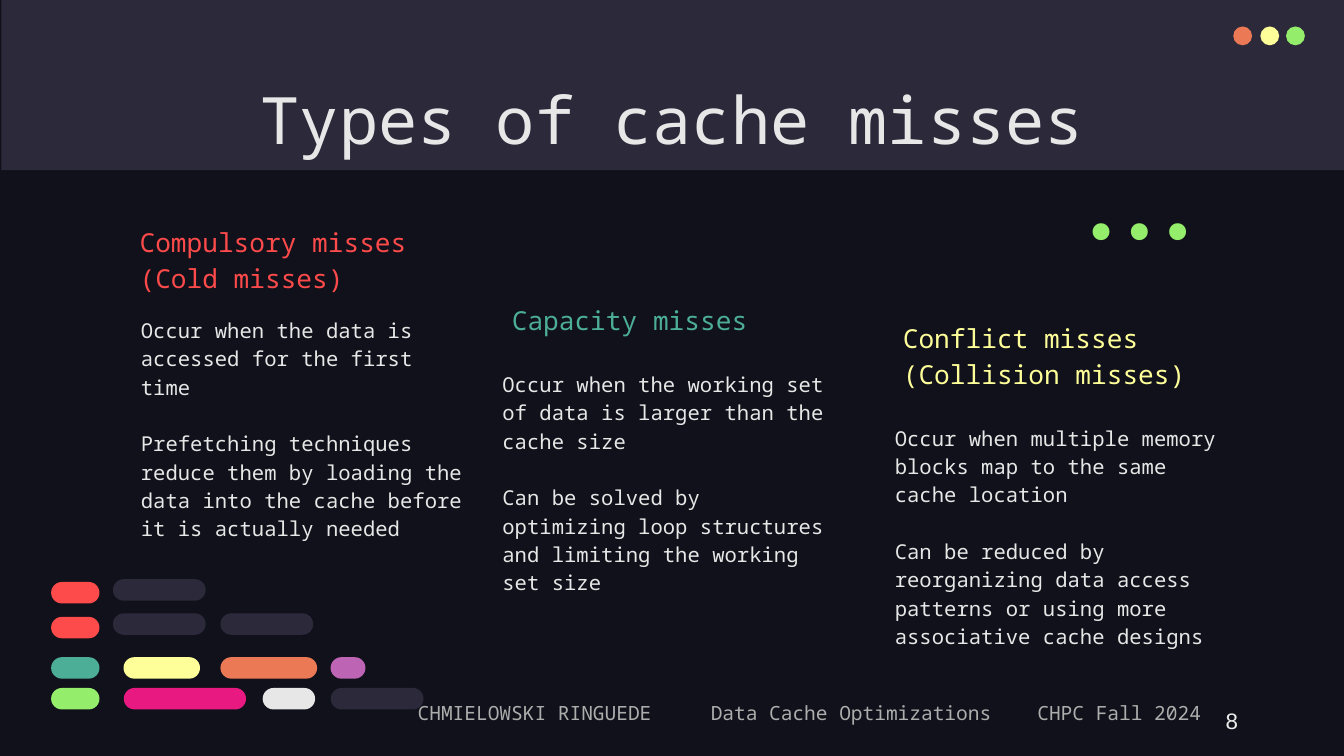
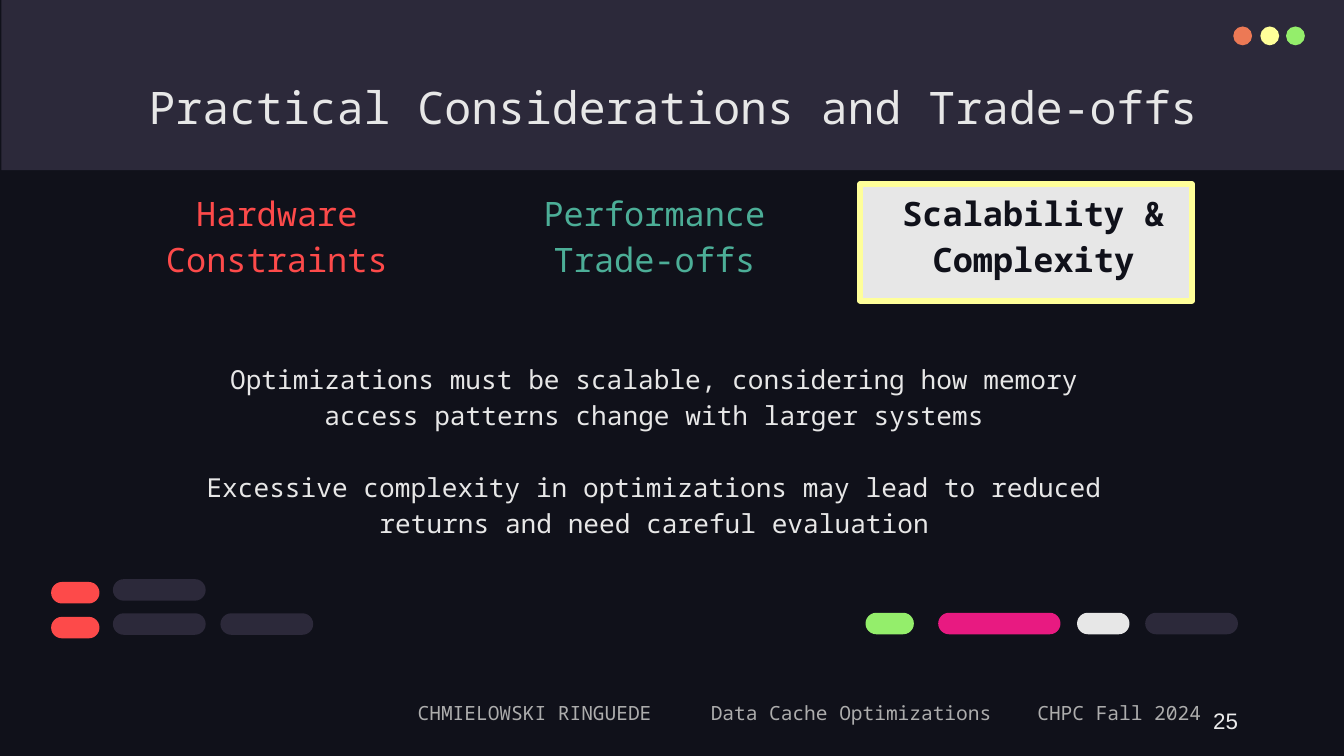
from lxml import etree
from pptx import Presentation
from pptx.dml.color import RGBColor
from pptx.enum.shapes import MSO_SHAPE as Preset
from pptx.enum.text import MSO_ANCHOR as Anchor, MSO_AUTO_SIZE as AutoSize, PP_ALIGN as Align
from pptx.oxml.ns import qn
from pptx.util import Pt

COLORS = {
    "night": "10111A", "slate": "2C293A", "light": "E7E7E7", "gray": "ADADAD",
    "number": "ECECEC", "red": "FD4A4A", "teal": "4CAE97", "yellow": "FFFF99",
    "orange": "EC7955", "green": "94EE6B", "pink": "E81A81", "purple": "BD64B5",
}
FONT = "Noto Sans Mono"
PILL_HEIGHT = 11.5


def add_block(slide, preset, left, top, width, height, color):
    shape = slide.shapes.add_shape(preset, Pt(left), Pt(top), Pt(width), Pt(height))
    shape.shadow.inherit = False
    shape.fill.solid()
    shape.fill.fore_color.rgb = RGBColor.from_string(COLORS[color])
    shape.line.fill.background()
    if preset == Preset.ROUNDED_RECTANGLE:
        shape.adjustments[0] = 0.5
    return shape


def write_text(shape, box, lines, size, color, align=Align.LEFT, anchor=Anchor.TOP,
               spacing=1.15, gap=0, bold=False, font=FONT):
    shape.left, shape.top, shape.width, shape.height = [Pt(value) for value in box]
    frame = shape.text_frame
    frame.word_wrap = True
    frame.auto_size = AutoSize.NONE
    frame.vertical_anchor = anchor
    frame.margin_left = frame.margin_right = frame.margin_top = frame.margin_bottom = Pt(7.2)
    for index, line in enumerate(lines):
        paragraph = frame.add_paragraph() if index else frame.paragraphs[0]
        paragraph.alignment = align
        paragraph.line_spacing = spacing
        paragraph.space_before = Pt(gap if index else 0)
        run = paragraph.add_run()
        run.text = line
        run.font.name = font
        run.font.size = Pt(size)
        run.font.bold = bold
        run.font.color.rgb = RGBColor.from_string(COLORS[color])


presentation = Presentation()
presentation.slide_width, presentation.slide_height = Pt(720), Pt(405)
background = presentation.slide_master.background.fill
background.solid()
background.fore_color.rgb = RGBColor.from_string(COLORS["night"])

layout = presentation.slide_layouts.get_by_name("Title Only")
misses_slide = presentation.slides.add_slide(layout)
tradeoffs_slide = presentation.slides.add_slide(layout)

footer = misses_slide.shapes.add_textbox(0, 0, 0, 0)
write_text(footer, (216.7, 366.5, 490, 32),
           ["CHMIELOWSKI RINGUEDE\tData Cache Optimizations\tCHPC Fall 2024"], 10.5, "gray")
footer_properties = footer.text_frame.paragraphs[0]._p.get_or_add_pPr()
tab_list = etree.SubElement(footer_properties, qn("a:tabLst"))
for position in (157, 332):
    etree.SubElement(tab_list, qn("a:tab"), pos=str(Pt(position)), algn="l")

furniture = [footer, add_block(misses_slide, Preset.RECTANGLE, 0.7, 0, 720, 91.2, "slate")]
for left, color in ((660.7, "orange"), (675.2, "yellow"), (689, "green")):
    furniture.append(add_block(misses_slide, Preset.OVAL, left, 14.2, 10.1, 10.1, color))
for shape in furniture:
    layout.shapes.element.append(shape.element)

pages = [
    (misses_slide, "Types of cache misses", 35, "8", 27.4, 368.6),
    (tradeoffs_slide, "Practical Considerations and Trade-offs", 24, "25", 463.7, 328.3),
]
for slide, title, title_size, number, row_left, row_top in pages:
    write_text(slide.shapes.title, (56.9, 35.3, 607, 45.4), [title], title_size, "light",
               Align.CENTER, spacing=1)
    write_text(slide.shapes.add_textbox(0, 0, 0, 0), (508.3, 375.1, 162, 21.6), [number], 12,
               "number", Align.RIGHT, Anchor.MIDDLE, spacing=1, font="Arial")
    pills = [
        (27.4, 311.8, 25.9, "red"), (27.4, 330.5, 25.9, "red"),
        (60.5, 310.3, 49.7, "slate"), (60.5, 328.6, 49.7, "slate"), (118.1, 328.6, 49.7, "slate"),
    ]
    for offset, width, color in ((0, 25.9, "green"), (38.9, 65.5, "pink"),
                                 (113.3, 28.1, "light"), (149.8, 49.7, "slate")):
        pills.append((row_left + offset, row_top, width, color))
    if slide is misses_slide:
        pills += [(27.4, 352.1, 25.9, "teal"), (66.2, 352.1, 41, "yellow"),
                  (118.1, 352.1, 51.8, "orange"), (177.1, 352.1, 18.7, "purple")]
    for left, top, width, color in pills:
        add_block(slide, Preset.ROUNDED_RECTANGLE, left, top, width, PILL_HEIGHT, color)

miss_types = [
    (["Compulsory misses", "(Cold misses)"], "red", 67.7, 113, 68.4,
     ["Occur when the data is accessed for the first time",
      "Prefetching techniques reduce them by loading the data into the cache before it is "
      "actually needed"]),
    (["Capacity misses"], "teal", 267.1, 135.4, 262.1,
     ["Occur when the working set of data is larger than the cache size",
      "Can be solved by optimizing loop structures and limiting the working set size"]),
    (["Conflict misses (Collision misses)"], "yellow", 476.6, 164.2, 472.3,
     ["Occur when multiple memory blocks map to the same cache location",
      "Can be reduced by reorganizing data access patterns or using more associative cache "
      "designs"]),
]
for index, (heading, color, heading_left, heading_top, body_left, body) in enumerate(miss_types):
    write_text(misses_slide.shapes.add_textbox(0, 0, 0, 0),
               (body_left, 161.3 + 28.8 * index, 187.2, 107.3), body, 11, "light", gap=15.2)
    write_text(misses_slide.shapes.add_textbox(0, 0, 0, 0),
               (heading_left, heading_top, 190, 51.8), heading, 14, color, anchor=Anchor.BOTTOM)
write_text(misses_slide.shapes.add_textbox(0, 0, 0, 0), (550.1, 102.2, 113.8, 43.2), ["..."],
           50, "green", Align.RIGHT, Anchor.BOTTOM, spacing=1, font="Fira Code")

highlight = add_block(tradeoffs_slide, Preset.RECTANGLE, 460.8, 98.6, 177.8, 62.6, "light")
highlight.line.color.rgb = RGBColor.from_string(COLORS["yellow"])
highlight.line.width = Pt(3)
topics = [
    ("Hardware Constraints", "red", 53.3, False),
    ("Performance Trade-offs", "teal", 255.6, False),
    ("Scalability & Complexity", "night", 458.6, True),
]
for topic, color, left, bold in topics:
    write_text(tradeoffs_slide.shapes.add_textbox(0, 0, 0, 0), (left, 105.1, 190, 51.8), [topic],
               18, color, Align.CENTER, Anchor.BOTTOM, bold=bold)
write_text(tradeoffs_slide.shapes.add_textbox(0, 0, 0, 0), (99.4, 185, 502.6, 107.3),
           ["Optimizations must be scalable, considering how memory access patterns change with "
            "larger systems",
            "Excessive complexity in optimizations may lead to reduced returns and need careful "
            "evaluation"],
           14, "light", Align.CENTER, gap=19.4)

presentation.save("out.pptx")
